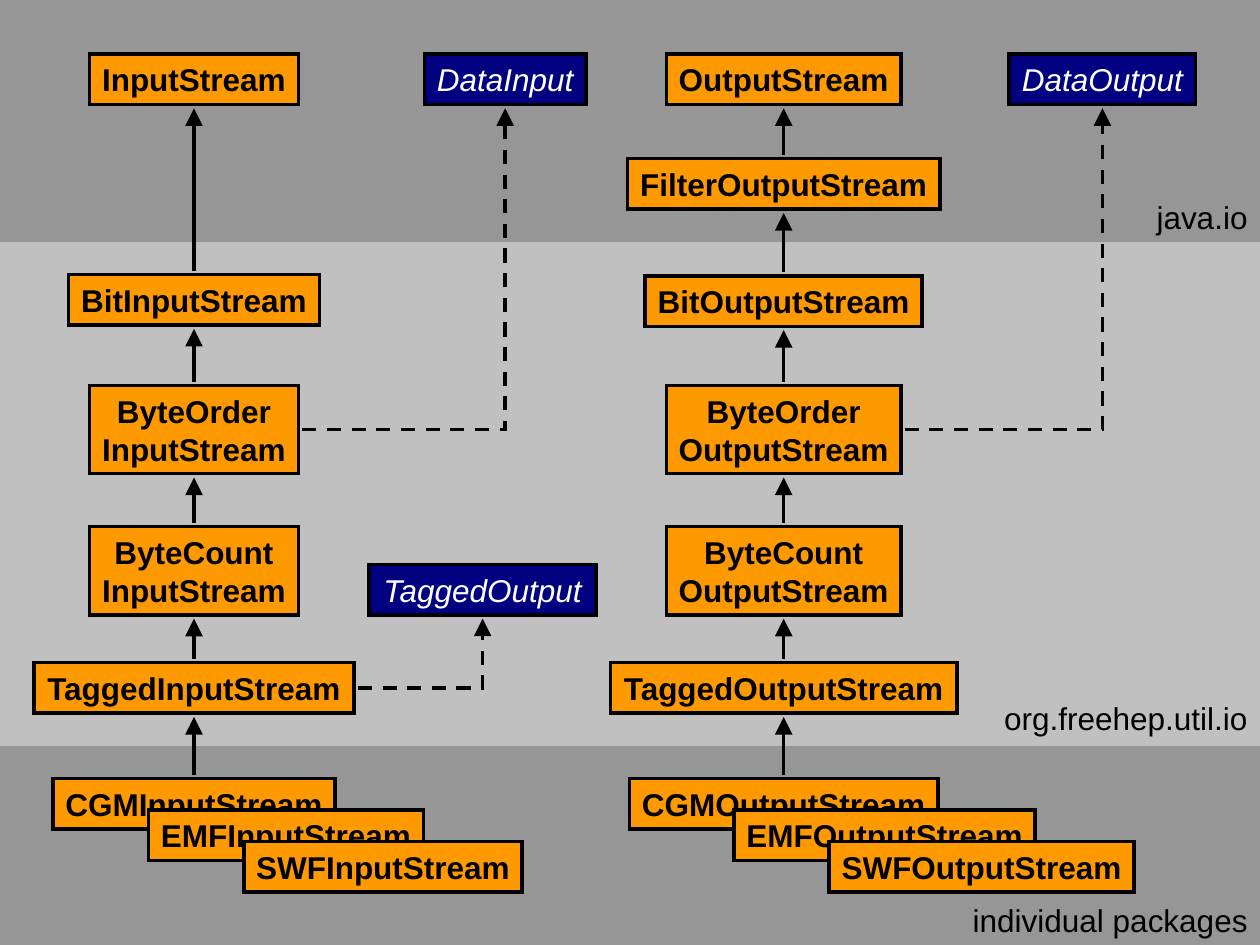
from dataclasses import dataclass

from lxml import etree
from pptx import Presentation
from pptx import util as u
from pptx.dml.color import RGBColor
from pptx.enum import dml, shapes, text
from pptx.oxml import ns

SCALE = 9144


@dataclass(frozen=True)
class Theme:
    dark: str = "969696"
    light: str = "C0C0C0"
    orange: str = "FF9900"
    navy: str = "000080"
    ink: str = "000000"
    white: str = "FFFFFF"
    font: str = "Arial"
    size: int = 18
    stroke: int = 2


def px(n):
    return u.Emu(round(n * SCALE))


def rgb(code):
    return RGBColor.from_string(code)


def write(frame, words, *, font, size, color, align, anchor, inset=10,
          bold=False, italic=False):
    frame.word_wrap = False
    frame.auto_size = text.MSO_AUTO_SIZE.SHAPE_TO_FIT_TEXT
    frame.vertical_anchor = anchor
    frame.margin_left = frame.margin_right = px(inset)
    para = frame.paragraphs[0]
    para.text = words
    para.alignment = align
    for run in para.runs:
        run.font.name = font
        run.font.size = u.Pt(size)
        run.font.bold = bold
        run.font.italic = italic
        run.font.color.rgb = rgb(color)


class Sketch:
    def __init__(self, theme, slide):
        self.theme = theme
        self.items = slide.shapes

    def rect(self, x, y, w, h, fill):
        shape = self.items.add_shape(
            shapes.MSO_SHAPE.RECTANGLE, px(x), px(y), px(w), px(h))
        shape.shadow.inherit = False
        shape.fill.solid()
        shape.fill.fore_color.rgb = rgb(fill)
        return shape

    def stroke(self, line):
        line.color.rgb = rgb(self.theme.ink)
        line.width = u.Pt(self.theme.stroke)
        ln = line._get_or_add_ln()
        etree.SubElement(ln, ns.qn("a:miter"), lim="800000")
        return ln

    def band(self, y, h, fill):
        self.rect(0, y, 1000, h, fill).line.fill.background()

    def box(self, words, mid, y, w, face=False):
        t = self.theme
        h = 70 if "\n" in words else 40
        shape = self.rect(mid - w / 2, y, w, h, t.navy if face else t.orange)
        self.stroke(shape.line)
        write(shape.text_frame, words, font=t.font, size=t.size, inset=6,
              color=t.white if face else t.ink, bold=not face, italic=face,
              align=text.PP_ALIGN.CENTER, anchor=text.MSO_ANCHOR.MIDDLE)
        return shape

    def label(self, words, y, w):
        t = self.theme
        shape = self.items.add_textbox(px(1000 - w), px(y), px(w), px(40))
        write(shape.text_frame, words, font=t.font, size=t.size, color=t.ink,
              align=text.PP_ALIGN.RIGHT, anchor=text.MSO_ANCHOR.TOP)

    def link(self, kind, child, parent, side):
        line = self.items.add_connector(kind, 0, 0, 0, 0)
        line.begin_connect(child, side)
        line.end_connect(parent, 2)
        gap = px(3)
        if side == 3:
            line.begin_x += gap
            line.line.dash_style = dml.MSO_LINE.DASH
        else:
            line.begin_y -= gap
        line.end_y += gap
        ln = self.stroke(line.line)
        etree.SubElement(ln, ns.qn("a:tailEnd"), type="triangle", w="lg", len="lg")
        etree.SubElement(line._element.spPr, ns.qn("a:effectLst"))
        return line

    def arrow(self, child, parent):
        self.link(shapes.MSO_CONNECTOR.STRAIGHT, child, parent, 0)

    def bend(self, child, parent):
        line = self.link(shapes.MSO_CONNECTOR.ELBOW, child, parent, 3)
        line._element.spPr.find(ns.qn("a:prstGeom")).set("prst", "bentConnector2")


INPUT = (
    "InputStream", 154,
    [("", 43, 166), ("Bit", 218, 199), ("ByteOrder\n", 306, 166),
     ("ByteCount\n", 418, 166), ("Tagged", 526, 254), ("CGM", 618, 224)],
    [("EMF", 227, 643, 218), ("SWF", 304, 668, 221)],
    [("DataInput", 401, 43, 128, "ByteOrder\n"),
     ("TaggedOutput", 383, 448, 180, "Tagged")],
)
OUTPUT = (
    "OutputStream", 622,
    [("", 43, 186), ("Filter", 126, 248), ("Bit", 219, 220),
     ("ByteOrder\n", 306, 186), ("ByteCount\n", 418, 186),
     ("Tagged", 526, 275), ("CGM", 618, 245)],
    [("EMF", 702, 643, 239), ("SWF", 779, 668, 242)],
    [("DataOutput", 875, 43, 148, "ByteOrder\n")],
)


def draw(art, base, mid, chain, stack, faces):
    made = {}
    for name, y, w in chain:
        made[name] = art.box(name + base, mid, y, w)
    for name, x, y, w in stack:
        art.box(name + base, x, y, w)
    for name, x, y, w, child in faces:
        art.bend(made[child], art.box(name, x, y, w, face=True))
    nodes = list(made.values())
    for parent, child in zip(nodes, nodes[1:]):
        art.arrow(child, parent)


def main():
    deck = Presentation()
    deck.slide_width, deck.slide_height = px(1000), px(750)
    theme = Theme()
    art = Sketch(theme, deck.slides.add_slide(deck.slide_layouts[6]))
    for y, h, fill in ((592, 158, theme.dark), (192, 400, theme.light),
                       (0, 192, theme.dark)):
        art.band(y, h, fill)
    for column in (OUTPUT, INPUT):
        draw(art, *column)
    for words, y, w in (("individual packages", 710, 238),
                        ("org.freehep.util.io", 550, 213), ("java.io", 152, 92)):
        art.label(words, y, w)
    deck.save("out.pptx")


if __name__ == "__main__":
    main()
